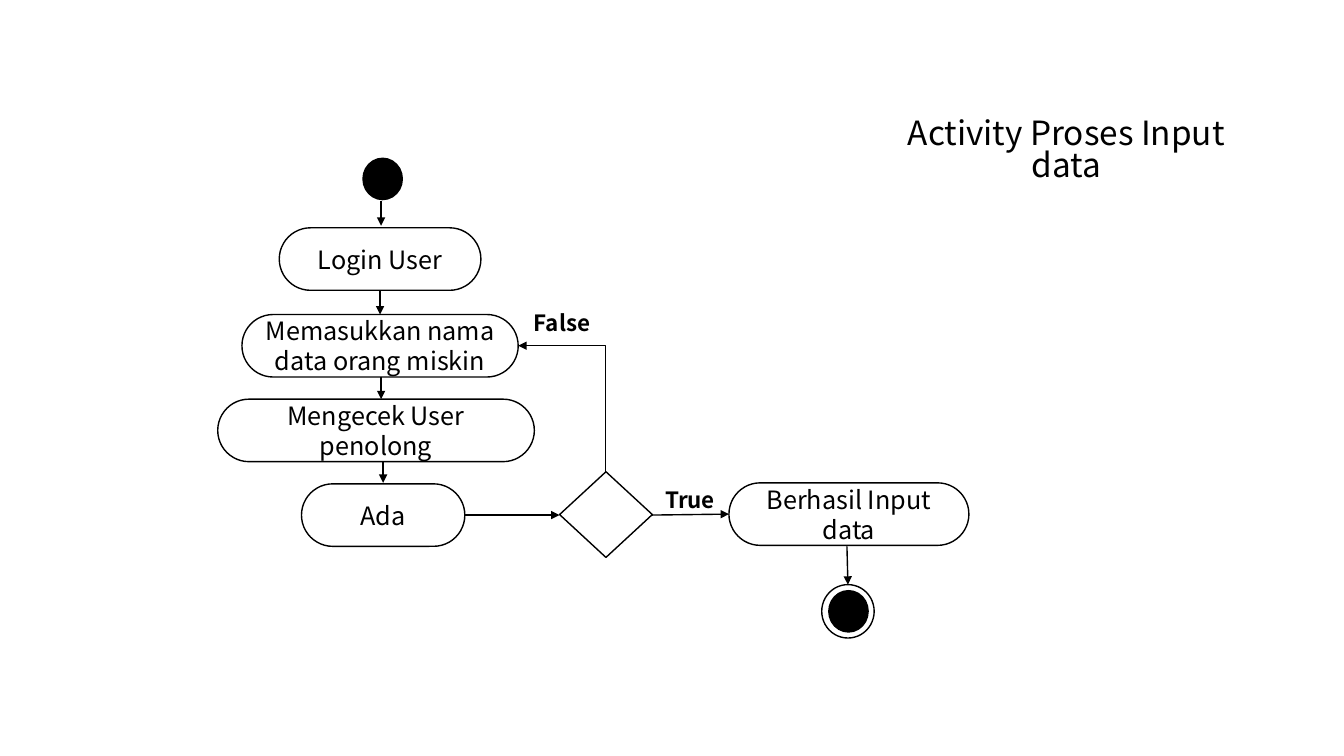
from lxml import etree
from pptx import Presentation
from pptx.dml.color import RGBColor
from pptx.enum.shapes import MSO_CONNECTOR, MSO_SHAPE
from pptx.enum.text import MSO_ANCHOR, PP_ALIGN
from pptx.oxml.ns import qn
from pptx.util import Inches, Pt

STRAIGHT = MSO_CONNECTOR.STRAIGHT
ELBOW = MSO_CONNECTOR.ELBOW
ROUNDED = MSO_SHAPE.ROUNDED_RECTANGLE
ELLIPSE = MSO_SHAPE.OVAL
DIAMOND = MSO_SHAPE.DIAMOND
CENTER = PP_ALIGN.CENTER
TOP = MSO_ANCHOR.TOP
MIDDLE = MSO_ANCHOR.MIDDLE

FONT = "Noto Sans CJK SC"
BLACK = "000000"
WHITE = "FFFFFF"
ACTION_HEIGHT = 0.62


def color(value):
    return RGBColor.from_string(value)


def write(shape, text, size, bold=False, anchor=MIDDLE, spacing=None, before=0):
    frame = shape.text_frame
    frame.text = text
    frame.word_wrap = True
    frame.vertical_anchor = anchor
    para = frame.paragraphs[0]
    para.alignment = CENTER
    para.space_before = Pt(before)
    if spacing:
        para.line_spacing = spacing
    font = para.runs[0].font
    font.name = FONT
    font.size = Pt(size)
    font.bold = bold
    font.color.rgb = color(BLACK)


def add_node(page, kind, left, top, width, height, fill=WHITE):
    node = page.shapes.add_shape(
        kind, Inches(left), Inches(top), Inches(width), Inches(height))
    node.shadow.inherit = False
    node.fill.solid()
    node.fill.fore_color.rgb = color(fill)
    node.line.color.rgb = color(BLACK)
    node.line.width = Pt(1)
    return node


def add_action(page, text, left, top, width):
    action = add_node(page, ROUNDED, left, top, width, ACTION_HEIGHT)
    action.adjustments[0] = 0.5
    write(action, text, 18)


def add_label(page, text, left, top):
    label = page.shapes.add_textbox(
        Inches(left), Inches(top), Inches(0.77), Inches(0.28))
    write(label, text, 16, bold=True, spacing=0.9)


def add_arrow(page, start, end, kind=STRAIGHT, width=1):
    arrow = page.shapes.add_connector(
        kind, *(Inches(value) for value in (*start, *end)))
    arrow.line.color.rgb = color(BLACK)
    arrow.line.width = Pt(width)
    line = arrow.line._get_or_add_ln()
    etree.SubElement(line, qn("a:tailEnd"), type="triangle")
    etree.SubElement(arrow._element.spPr, qn("a:effectLst"))
    return arrow


def add_return_arrow(page, start, end):
    """Go up from start, then left to end, with a single bend."""
    middle_x, middle_y = (start[0] + end[0]) / 2, (start[1] + end[1]) / 2
    half_run, half_rise = (start[0] - end[0]) / 2, (start[1] - end[1]) / 2
    # The unrotated frame has its sides swapped; a 270 degree turn restores them
    arrow = add_arrow(page, (middle_x - half_rise, middle_y + half_run),
                      (middle_x + half_rise, middle_y - half_run), ELBOW, 0.5)
    properties = arrow._element.spPr
    properties.find(qn("a:xfrm")).set("rot", str(270 * 60000))
    properties.find(qn("a:prstGeom")).set("prst", "bentConnector2")


def main():
    deck = Presentation()
    deck.slide_width = Inches(13.33)
    deck.slide_height = Inches(7.5)
    page = deck.slides.add_slide(deck.slide_layouts[5])

    # Title
    title = page.shapes.title
    title.left, title.top = Inches(8.62), Inches(1.14)
    title.width, title.height = Inches(3.91), Inches(0.68)
    write(title, "Activity Proses Input data", 23.8,
          anchor=TOP, spacing=0.8, before=10)

    # Start and end nodes
    add_node(page, ELLIPSE, 3.6, 1.57, 0.39, 0.41, BLACK)
    add_node(page, ELLIPSE, 8.15, 5.8, 0.52, 0.53)
    add_node(page, ELLIPSE, 8.22, 5.86, 0.39, 0.41, BLACK)

    # Actions and decision
    for text, left, top, width in (
            ("Login User", 2.77, 2.26, 2),
            ("Memasukkan nama data orang miskin", 2.4, 3.12, 2.74),
            ("Mengecek User penolong", 2.16, 3.96, 3.14),
            ("Ada", 2.99, 4.8, 1.62),
            ("Berhasil Input data", 7.23, 4.79, 2.38)):
        add_action(page, text, left, top, width)
    add_node(page, DIAMOND, 5.55, 4.68, 0.92, 0.85)

    # Flow
    for start, end in (
            ((3.78, 1.99), (3.78, 2.24)),
            ((3.77, 2.88), (3.77, 3.12)),
            ((3.78, 3.74), (3.78, 3.96)),
            ((3.8, 4.58), (3.8, 4.79)),
            ((4.61, 5.11), (5.55, 5.11)),
            ((6.46, 5.11), (7.23, 5.1)),
            ((8.4, 5.42), (8.41, 5.8))):
        add_arrow(page, start, end)
    add_return_arrow(page, (6, 4.68), (5.14, 3.43))

    # Decision outcomes
    add_label(page, "True", 6.46, 4.83)
    add_label(page, "False", 5.19, 3.08)

    deck.save("out.pptx")


main()
